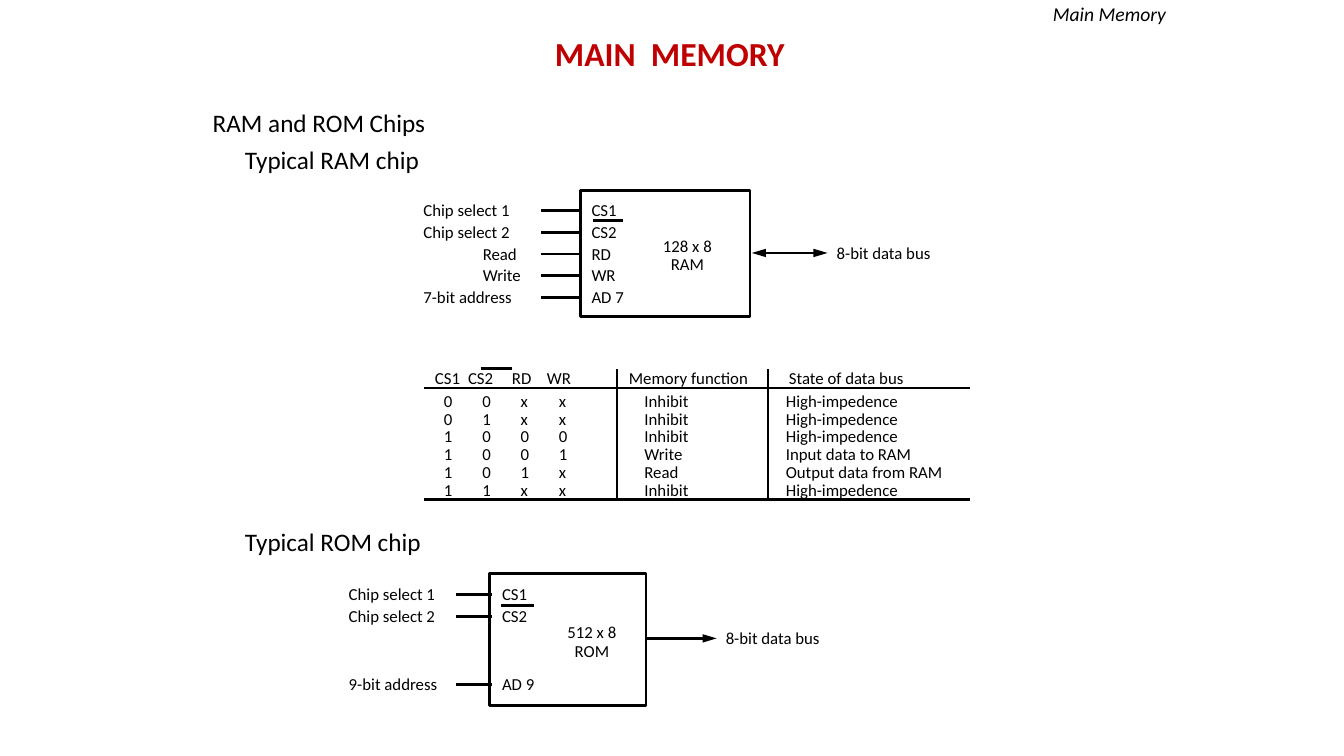
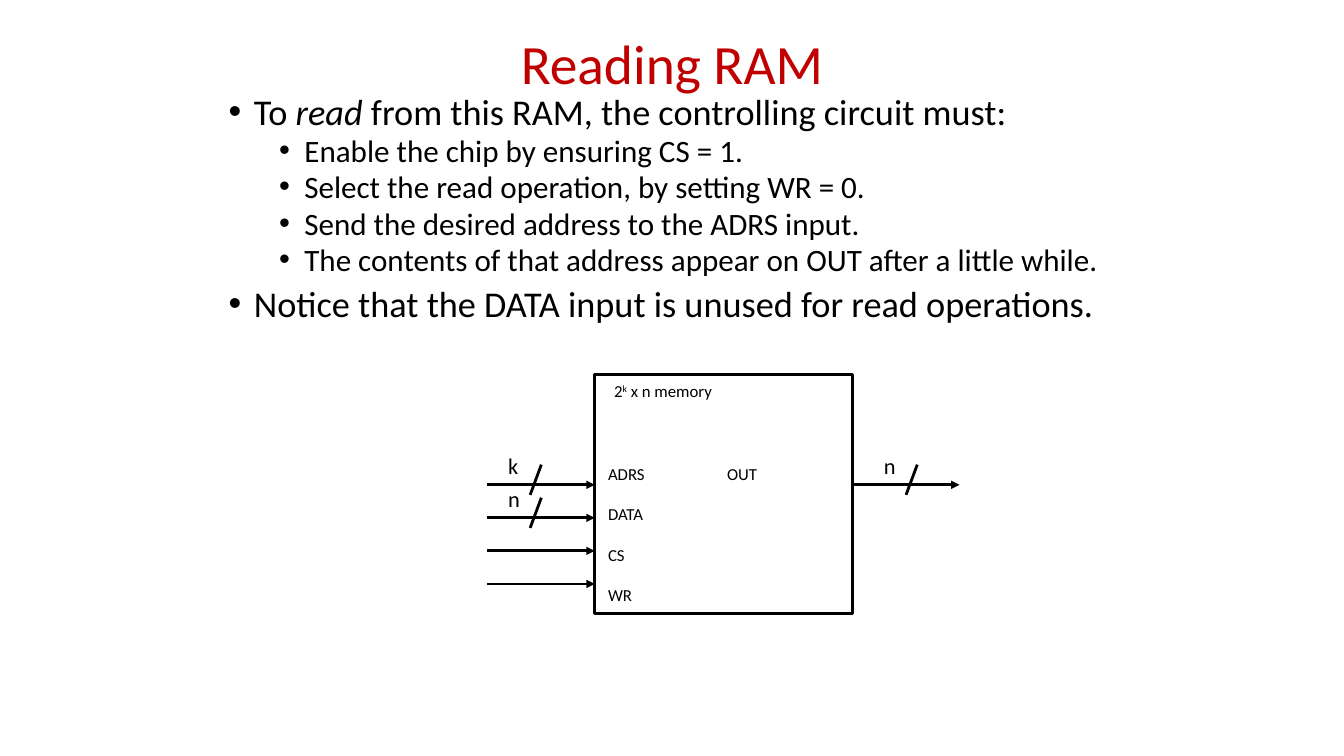
from dataclasses import dataclass

from pptx import Presentation
from pptx.dml.color import RGBColor
from pptx.enum import shapes, text
from pptx.oxml import xmlchemy
from pptx.util import Pt

BLACK, RED = "000000", "C00000"
FONT = "Calibri"
RULE = 2
LEFT, CENTER = text.PP_ALIGN.LEFT, text.PP_ALIGN.CENTER


@dataclass
class Pin:
    y: float
    outside: str
    outside_x: float
    inside: str


@dataclass
class Chip:
    box: tuple[float, float, float, float]
    name: str
    name_center: tuple[float, float]
    lead: tuple[float, float]
    inside_x: float
    bar: tuple[float, float, float]
    bus: tuple[float, float, float]
    bus_heads: tuple[str, ...]
    pins: list[Pin]


@dataclass
class Column:
    width: float
    head: str
    head_inset: float
    body_inset: float
    ruled: bool = False


@dataclass
class Wire:
    start: float
    end: float
    y: float
    slash_x: float = 0
    width_label: str = ""


@dataclass
class Bullet:
    phrases: list[str]  # every second phrase is italic
    level: int = 0


# Shared styles and drawing functions
def color(value: str) -> RGBColor:
    return RGBColor.from_string(value)


def element(parent, tag: str, **attrs):
    child = xmlchemy.OxmlElement(tag)
    for name, value in attrs.items():
        child.set(name, str(value))
    parent.append(child)
    return child


def style(r, size: float, value: str = BLACK, bold: bool = False, italic: bool = False) -> None:
    r.font.name, r.font.size = FONT, Pt(size)
    r.font.bold, r.font.italic = bold, italic
    r.font.color.rgb = color(value)


def text_frame(s, x: float, y: float, w: float, h: float):
    tf = s.shapes.add_textbox(Pt(x), Pt(y), Pt(w), Pt(h)).text_frame
    tf.word_wrap = True
    tf.margin_left = tf.margin_right = tf.margin_top = tf.margin_bottom = 0
    return tf


def label(s, x: float, cy: float, words: str, size: float = 12, width: float = 140,
          align=LEFT, value: str = BLACK, bold: bool = False, italic: bool = False):
    """Text whose left edge is x and whose vertical centre is cy."""
    height = size * 3
    tf = text_frame(s, x, cy - height / 2, width, height)
    tf.vertical_anchor = text.MSO_ANCHOR.MIDDLE
    tf.text = words
    for p in tf.paragraphs:
        p.alignment, p.line_spacing = align, 0.9
        for r in p.runs:
            style(r, size, value, bold, italic)
    return tf


def title(s, words: str, size: float, cx: float, cy: float, bold: bool = False) -> None:
    label(s, cx - 300, cy, words, size, 600, CENTER, RED, bold)


def line(s, x1: float, y1: float, x2: float, y2: float,
         heads: tuple[str, ...] = (), length: str = "med") -> None:
    sp = s.shapes.add_connector(shapes.MSO_CONNECTOR.STRAIGHT, Pt(x1), Pt(y1), Pt(x2), Pt(y2))
    sp.line.color.rgb, sp.line.width = color(BLACK), Pt(RULE)
    ln = sp.line._get_or_add_ln()
    for head in heads:
        element(ln, f"a:{head}", type="triangle", w="med", len=length)
    element(sp._element.spPr, "a:effectLst")


def outline(s, x: float, y: float, w: float, h: float) -> None:
    sp = s.shapes.add_shape(shapes.MSO_SHAPE.RECTANGLE, Pt(x), Pt(y), Pt(w), Pt(h))
    sp.shadow.inherit = False
    sp.fill.background()
    sp.line.color.rgb, sp.line.width = color(BLACK), Pt(RULE)


def draw_chip(s, chip: Chip) -> None:
    outline(s, *chip.box)
    for pin in chip.pins:
        line(s, chip.lead[0], pin.y, chip.lead[1], pin.y)
        label(s, pin.outside_x, pin.y + 0.5, pin.outside, width=90)
        label(s, chip.inside_x, pin.y + 0.5, pin.inside, width=45)
    bar_start, bar_end, bar_y = chip.bar
    line(s, bar_start, bar_y, bar_end, bar_y)
    cx, cy = chip.name_center
    label(s, cx - 30, cy, chip.name, width=60, align=CENTER)
    start, end, y = chip.bus
    line(s, start, y, end, y, chip.bus_heads, "lg")
    label(s, end + 6.5, y + 0.7, "8-bit data bus")


def set_borders(cell, edges: str) -> None:
    tc_pr = cell._tc.get_or_add_tcPr()
    for edge in "LRTB":
        ln = element(tc_pr, f"a:ln{edge}", w=Pt(RULE))
        if edge in edges:
            element(element(ln, "a:solidFill"), "a:srgbClr", val=BLACK)
        else:
            element(ln, "a:noFill")


def draw_table(s, x: float, y: float, heights: list[float],
               columns: list[Column], rows: list[list[str]]) -> None:
    width = sum(column.width for column in columns)
    table = s.shapes.add_table(len(heights), len(columns), Pt(x), Pt(y),
                               Pt(width), Pt(sum(heights))).table
    table.first_row = table.horz_banding = False
    for row, height in zip(table.rows, heights):
        row.height = Pt(height)
    for j, column in enumerate(columns):
        table.columns[j].width = Pt(column.width)
        next_ruled = j + 1 < len(columns) and columns[j + 1].ruled
        sides = "L" * column.ruled + "R" * next_ruled
        for i, words in enumerate([column.head] + [row[j] for row in rows]):
            cell = table.cell(i, j)
            cell.margin_left = Pt(column.body_inset if i else column.head_inset)
            cell.margin_right = cell.margin_top = cell.margin_bottom = 0
            cell.vertical_anchor = text.MSO_ANCHOR.BOTTOM
            ends = "T" * (i == 1) + "B" * (i in (0, len(rows)))
            set_borders(cell, sides + ends)
            cell.fill.background()
            cell.text = words
            p = cell.text_frame.paragraphs[0]
            p.line_spacing = 0.85
            style(p.runs[0], 12)


def draw_wire(s, wire: Wire) -> None:
    line(s, wire.start, wire.y, wire.end, wire.y, ("tailEnd",))
    if wire.width_label:
        line(s, wire.slash_x + 4, wire.y - 14.4, wire.slash_x - 4, wire.y + 7.2)
        label(s, wire.slash_x - 19.8, wire.y - 12.5, wire.width_label, 16, 20)


def draw_bullets(s, x: float, y: float, w: float, h: float, bullets: list[Bullet]) -> None:
    tf = text_frame(s, x, y, w, h)
    for i, bullet in enumerate(bullets):
        p = tf.add_paragraph() if i else tf.paragraphs[0]
        p.level, p.line_spacing = bullet.level, 0.8
        if i:
            p.space_before = Pt(4.5 if bullet.level else 9)
        p_pr = p._p.get_or_add_pPr()
        p_pr.set("marL", str(Pt(54 if bullet.level else 18)))
        p_pr.set("indent", str(Pt(-18)))
        element(p_pr, "a:buFont", typeface="Arial")
        element(p_pr, "a:buChar", char="•")
        for k, phrase in enumerate(bullet.phrases):
            r = p.add_run()
            r.text = phrase
            style(r, 22.2 if bullet.level else 25.9, italic=k % 2 == 1)


# Slide content
RAM_PINS = [("Chip select 1", 302.4, "CS1"), ("Chip select 2", 302.4, "CS2"),
            ("Read", 344.9, "RD"), ("Write", 344.9, "WR"), ("7-bit address", 302.4, "AD 7")]
RAM = Chip((414.7, 136.1, 121, 90), "128 x 8\nRAM", (491, 182.8), (386.6, 415.4), 422.6,
           (423.4, 445, 157.7), (537.1, 591.1, 180.7), ("headEnd", "tailEnd"),
           [Pin(150.5 + 15.5 * i, out, x, inside) for i, (out, x, inside) in enumerate(RAM_PINS)])
ROM = Chip((349.9, 409.7, 111.6, 94.3), "512 x 8\nROM", (422.8, 459), (325.4, 351.4), 358.6,
           (357.8, 381.6, 432.7), (462.2, 511.9, 456), ("tailEnd",),
           [Pin(424.8, "Chip select 1", 249.1, "CS1"), Pin(440.6, "Chip select 2", 249.1, "CS2"),
            Pin(488.9, "9-bit address", 249.1, "AD 9")])

COLUMNS = [Column(28.9, "CS1", 7.6, 14), Column(28, "CS2", 2.3, 12.6),
           Column(28, "RD", 5.7, 12), Column(52.6, "WR", 2.7, 11.3),
           Column(108, "Memory function", 8.7, 19.8, True),
           Column(144, "State of data bus", 15, 12.8, True)]
IDLE = ["Inhibit", "High-impedence"]
ROWS = [[*"00xx", *IDLE], [*"01xx", *IDLE], [*"1000", *IDLE],
        [*"1001", "Write", "Input data to RAM"],
        [*"101x", "Read", "Output data from RAM"], [*"11xx", *IDLE]]

BULLETS = [Bullet(["To ", "read", " from this RAM, the controlling circuit must:"]),
           Bullet(["Enable the chip by ensuring CS = 1."], 1),
           Bullet(["Select the read operation, by setting WR = 0."], 1),
           Bullet(["Send the desired address to the ADRS input."], 1),
           Bullet(["The contents of that address appear on OUT after a little while."], 1),
           Bullet(["Notice that the DATA input is unused for read operations."])]


def chips_slide(s) -> None:
    label(s, 752, 11, "Main Memory", 14, italic=True)
    title(s, "MAIN  MEMORY", 24, 478.4, 39.6, bold=True)
    for x, cy, words in [(152, 89, "RAM and ROM Chips"), (175, 115, "Typical RAM chip"),
                         (175, 388, "Typical ROM chip")]:
        label(s, x, cy, words, 18, 200)
    draw_chip(s, RAM)
    draw_table(s, 303.1, 263.7, [13.5, 16.2] + [12.7] * 5, COLUMNS, ROWS)
    line(s, 343.4, 263.5, 365.8, 263.5)  # bar over CS2
    draw_chip(s, ROM)


def reading_slide(s) -> None:
    title(s, "Reading RAM", 39.6, 480, 47.5)
    draw_bullets(s, 163.4, 69.8, 627.8, 167, BULLETS)

    # Memory block and its port names
    outline(s, 424.8, 267.8, 184.3, 170.6)
    tf = label(s, 438.6, 280, "2")
    for words, baseline in [("k", 30000), (" x n memory", 0)]:
        r = tf.paragraphs[0].add_run()
        r.text = words
        style(r, 12)
        r.font._element.set("baseline", str(baseline))
    for i, port in enumerate(["ADRS", "DATA", "CS", "WR"]):
        label(s, 434.3, 339.3 + 28.8 * i, port, width=60)
    label(s, 519.3, 339.3, "OUT", width=60)

    # Input and output wires
    for i, bits in enumerate(["k", "n", "", ""]):
        draw_wire(s, Wire(347.8, 424.8, 346.3 + 23.6 * i, 382.7, bits))
    draw_wire(s, Wire(609.1, 685.4, 346.3, 651.2, "n"))


def main() -> None:
    prs = Presentation()
    prs.slide_width, prs.slide_height = Pt(960), Pt(540)
    for draw in (chips_slide, reading_slide):
        draw(prs.slides.add_slide(prs.slide_layouts[6]))
    prs.save("out.pptx")


if __name__ == "__main__":
    main()
